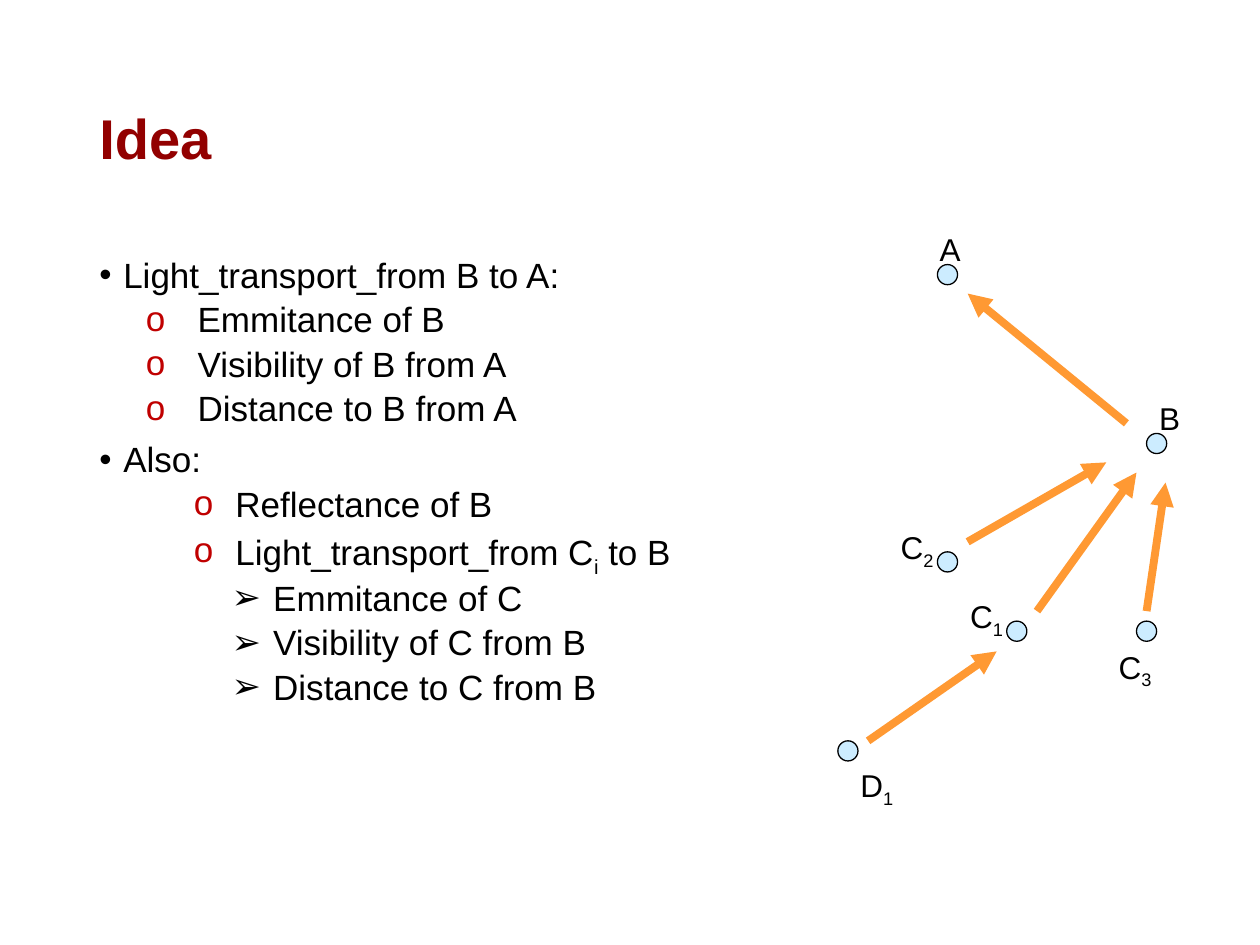
import dataclasses
import typing

import lxml.etree
import pptx
import pptx.dml.color
import pptx.enum.shapes
import pptx.enum.text
import pptx.oxml.ns
import pptx.util

Inches = pptx.util.Inches
Pt = pptx.util.Pt
COLORS = {"title": "920000", "text": "000000", "bullet": "C00000",
          "node": "CCECFF", "edge": "000000", "ray": "FF9933"}
FONT = "Arial"
DOT = 0.16  # node diameter


@dataclasses.dataclass
class Style:
    level: int
    left: float
    hang: float
    before: float
    mark: str
    color: str


@dataclasses.dataclass
class Line:
    text: str
    style: typing.Optional[Style] = None


@dataclasses.dataclass
class Node:
    name: str  # text between tildes is subscript
    left: float
    top: float
    tag_left: float
    tag_top: float
    tag_width: float = 0.55


@dataclasses.dataclass
class Ray:
    x1: float
    y1: float
    x2: float
    y2: float


TOP = Style(0, 0.19, 0.19, 7.5, "•", "text")
SUB = Style(1, 0.78, 0.41, 3.8, "o", "bullet")
DEEP = Style(1, 1.08, 0.33, 3.8, "o", "bullet")
LEAF = Style(2, 1.38, 0.33, 3.8, "➢", "text")

BODY = [
    Line("Light_transport_from B to A:", TOP),
    Line("Emmitance of B", SUB),
    Line("Visibility of B from A", SUB),
    Line("Distance to B from A", SUB),
    Line("Also:", TOP),
    Line("Reflectance of B", DEEP),
    Line("Light_transport_from C~i~ to B", DEEP),
    Line("Emmitance of C", LEAF),
    Line("Visibility of C from B", LEAF),
    Line("Distance to C from B", LEAF),
]
NODES = [
    Node("B", 9.1, 3.44, 9.1, 3.12, 0.39),
    Node("A", 7.44, 2.1, 7.36, 1.78, 0.39),
    Node("C~1~", 7.99, 4.93, 7.6, 4.69),
    Node("C~2~", 7.44, 4.38, 7.05, 4.14),
    Node("C~3~", 9.02, 4.93, 8.78, 5.09),
    Node("D~1~", 6.65, 5.88, 6.73, 6.03),
]
RAYS = [
    Ray(8.94, 3.36, 7.68, 2.33),  # B to A
    Ray(8.23, 4.85, 9.02, 3.75),  # C1 to B
    Ray(7.68, 4.3, 8.78, 3.67),   # C2 to B
    Ray(9.1, 4.85, 9.25, 3.83),   # C3 to B
    Ray(6.89, 5.88, 7.91, 5.17),  # D1 to C1
]


def rgb(name: str) -> pptx.dml.color.RGBColor:
    return pptx.dml.color.RGBColor.from_string(COLORS[name])


def add_xml(parent, tag: str, **attrs: str):
    return lxml.etree.SubElement(parent, pptx.oxml.ns.qn(tag), attrs)


def set_style(para, style: Style) -> None:
    para.level = style.level
    para.space_before = Pt(style.before)
    props = para._p.get_or_add_pPr()
    props.set("marL", str(Inches(style.left)))
    props.set("indent", str(-Inches(style.hang)))
    add_xml(add_xml(props, "a:buClr"), "a:srgbClr", val=COLORS[style.color])
    add_xml(props, "a:buFont", typeface=FONT)
    add_xml(props, "a:buChar", char=style.mark)


def add_text(slide, lines: typing.List[Line], left: float, top: float,
             width: float, height: float, *, size: float,
             color: str = "text", bold: bool = False, middle: bool = False,
             space: typing.Optional[float] = None) -> None:
    box = slide.shapes.add_textbox(Inches(left), Inches(top),
                                   Inches(width), Inches(height))
    frame = box.text_frame
    frame.word_wrap = True
    anchor = pptx.enum.text.MSO_ANCHOR
    frame.vertical_anchor = anchor.MIDDLE if middle else anchor.TOP
    for row, line in enumerate(lines):
        para = frame.add_paragraph() if row else frame.paragraphs[0]
        if space:
            para.line_spacing = space
        if line.style:
            set_style(para, line.style)
        for part, text in enumerate(line.text.split("~")):
            if not text:
                continue
            run = para.add_run()
            run.text = text
            font = run.font
            font.name, font.size, font.bold = FONT, Pt(size), bold
            font.color.rgb = rgb(color)
            if part % 2:
                font._element.set("baseline", "-25000")


def add_node(slide, node: Node) -> None:
    dot = slide.shapes.add_shape(pptx.enum.shapes.MSO_SHAPE.OVAL,
                                 Inches(node.left), Inches(node.top),
                                 Inches(DOT), Inches(DOT))
    dot.shadow.inherit = False
    dot.fill.solid()
    dot.fill.fore_color.rgb = rgb("node")
    dot.line.color.rgb = rgb("edge")
    dot.line.width = Pt(0.75)
    add_text(slide, [Line(node.name)], node.tag_left, node.tag_top,
             node.tag_width, 0.3, size=18)


def add_ray(slide, ray: Ray) -> None:
    link = slide.shapes.add_connector(
        pptx.enum.shapes.MSO_CONNECTOR.STRAIGHT,
        Inches(ray.x1), Inches(ray.y1), Inches(ray.x2), Inches(ray.y2))
    link.line.color.rgb = rgb("ray")
    link.line.width = Pt(4.5)
    add_xml(link.line._get_or_add_ln(), "a:tailEnd", type="triangle")
    add_xml(link._element.spPr, "a:effectLst")


def main() -> None:
    deck = pptx.Presentation()
    deck.slide_width, deck.slide_height = Inches(10), Inches(7.5)
    slide = deck.slides.add_slide(deck.slide_layouts[6])

    # Title and bullet list
    add_text(slide, [Line("Idea")], 0.69, 0.4, 8.62, 1.45, size=32,
             color="title", bold=True, middle=True, space=0.9)
    add_text(slide, BODY, 0.69, 2, 5.1, 4.76, size=20, space=0.9)

    # Light transport graph
    for ray in RAYS:
        add_ray(slide, ray)
    for node in NODES:
        add_node(slide, node)

    deck.save("out.pptx")


if __name__ == "__main__":
    main()
